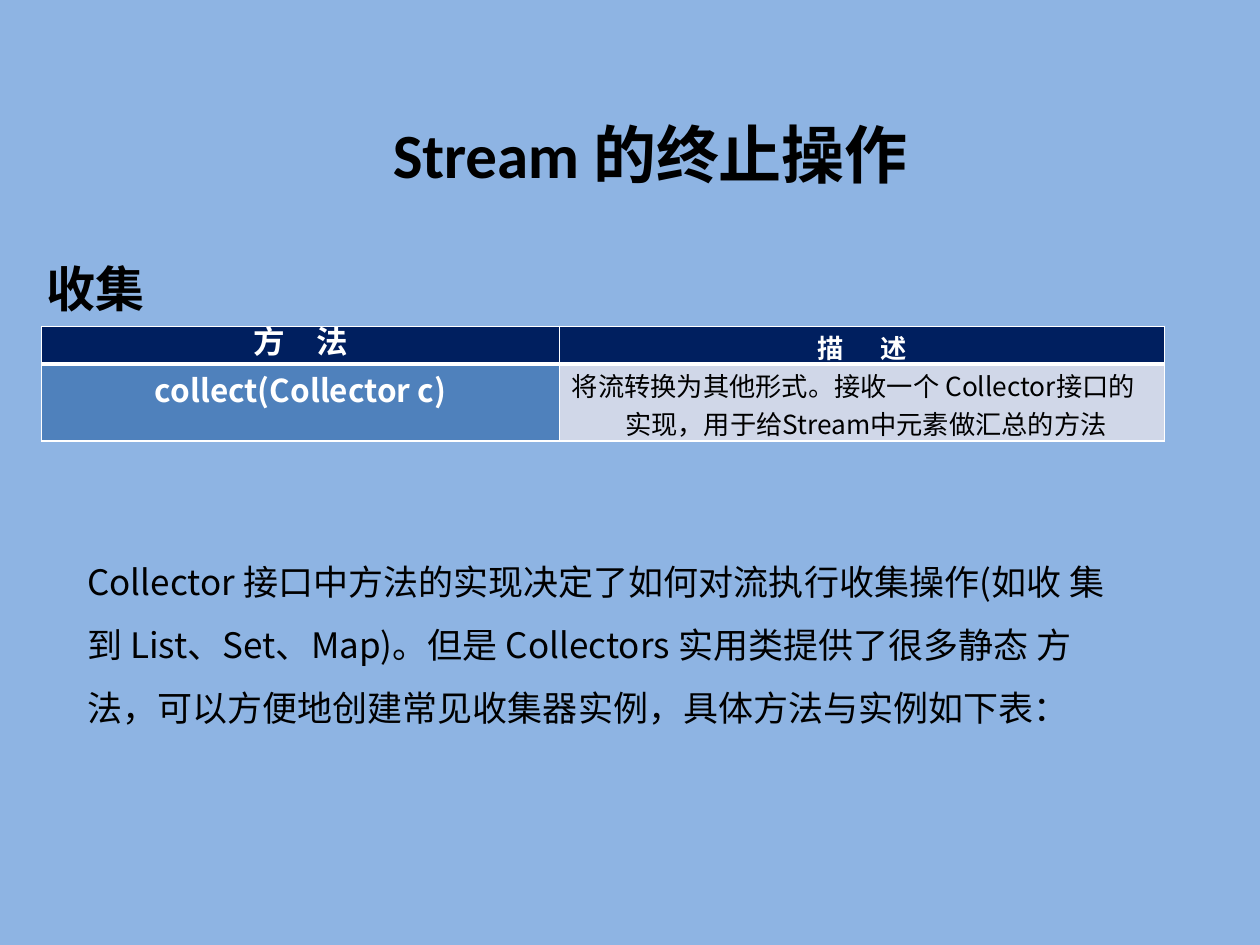
from lxml import etree
from pptx import Presentation
from pptx.dml.color import RGBColor
from pptx.enum.text import MSO_ANCHOR, MSO_AUTO_SIZE, PP_ALIGN
from pptx.oxml.ns import qn
from pptx.util import Cm, Pt

CENTER, LEFT = PP_ALIGN.CENTER, PP_ALIGN.LEFT
TOP = MSO_ANCHOR.TOP
GROW = MSO_AUTO_SIZE.SHAPE_TO_FIT_TEXT

THEME = {
    "latin": "Calibri", "cjk": "Noto Sans CJK SC",
    "background": "8EB4E3", "text": "000000", "light": "FFFFFF",
    "header": "001F5F", "method": "4F81BC", "description": "D0D7E8",
    "title_size": 36, "heading_size": 28, "body_size": 20,
    "method_size": 18, "description_size": 15,
}

# Content: text is a list of (words, font) runs
CJK = THEME["cjk"]
TITLE = [("Stream ", THEME["latin"]), ("的终止操作", CJK)]
HEADING = [("收集", CJK)]
BODY = [("Collector 接口中方法的实现决定了如何对流执行收集操作(如收 集到 List、Set、Map)。"
         "但是 Collectors 实用类提供了很多静态 方法，可以方便地创建常见收集器实例，具体方法与实例如下表：", CJK)]

METHOD = {"size": THEME["method_size"], "color": THEME["light"], "bold": True,
          "align": CENTER, "before": 0.6}
DESCRIPTION = {"size": THEME["description_size"], "before": 0.5}
TABLE = [
    [("方\t法", THEME["header"], {**METHOD, "line": Pt(19.9), "tab": Cm(1.27), "tracking": -0.1}),
     ("描\t述", THEME["header"], {**METHOD, **DESCRIPTION, "tab": Cm(1.07), "tracking": -0.1})],
    [("collect(Collector c)", THEME["method"], METHOD),
     ("将流转换为其他形式。接收一个 Collector接口的 实现，用于给Stream中元素做汇总的方法",
      THEME["description"], {**DESCRIPTION, "indent": Cm(1.32), "first": Cm(-1.07)})],
]
COLUMN_WIDTHS = [Cm(10.44), Cm(12.19)]
ROW_HEIGHTS = [Cm(0.76), Cm(1.55)]


def write_text(frame, runs, *, size, color=THEME["text"], bold=False, align=LEFT,
               before=0, line=None, indent=0, first=0, tab=None, tracking=0):
    paragraph = frame.paragraphs[0]
    paragraph.alignment = align
    paragraph.space_before = Pt(before)
    if line:
        paragraph.line_spacing = line
    properties = paragraph._p.get_or_add_pPr()
    properties.set("marL", str(int(indent)))
    properties.set("indent", str(int(first)))
    if tab:
        tabs = etree.SubElement(properties, qn("a:tabLst"))
        etree.SubElement(tabs, qn("a:tab"), pos=str(int(tab)), algn="l")
    for words, font_name in runs:
        run = paragraph.add_run()
        run.text = words
        font = run.font
        font.name, font.size, font.bold = font_name, Pt(size), bold
        font.color.rgb = RGBColor.from_string(color)
        run_properties = run._r.get_or_add_rPr()
        run_properties.set("spc", str(round(tracking * 100)))
        etree.SubElement(run_properties, qn("a:ea"), typeface=font_name)


def add_text(slide, box, runs, **style):
    frame = slide.shapes.add_textbox(*(Cm(length) for length in box)).text_frame
    frame.word_wrap = True
    frame.auto_size = GROW
    frame.vertical_anchor = TOP
    frame.margin_left = frame.margin_right = frame.margin_bottom = 0
    frame.margin_top = Cm(0.03)
    write_text(frame, runs, **style)


def set_borders(cell, widths):
    properties = cell._tc.get_or_add_tcPr()
    for position, (side, width) in enumerate(widths.items()):
        border = etree.Element(qn(f"a:ln{side}"), w=str(int(Pt(width))))
        fill = etree.SubElement(border, qn("a:solidFill"))
        etree.SubElement(fill, qn("a:srgbClr"), val=THEME["light"])
        properties.insert(position, border)


def add_method_table(slide):
    table = slide.shapes.add_table(len(TABLE), len(COLUMN_WIDTHS), Cm(0.84), Cm(6.58),
                                   sum(COLUMN_WIDTHS), sum(ROW_HEIGHTS)).table
    for column, width in zip(table.columns, COLUMN_WIDTHS):
        column.width = width
    for index, (row, height) in enumerate(zip(table.rows, ROW_HEIGHTS)):
        row.height = height
        is_header = index == 0
        for cell, (words, fill, style) in zip(row.cells, TABLE[index]):
            cell.margin_left = cell.margin_right = cell.margin_bottom = 0
            cell.margin_top = Cm(0.03)
            cell.vertical_anchor = TOP
            cell.fill.solid()
            cell.fill.fore_color.rgb = RGBColor.from_string(fill)
            set_borders(cell, {"L": 1, "R": 1, "T": 1 if is_header else 3,
                               "B": 3 if is_header else 1})
            write_text(cell.text_frame, [(words, CJK)], **style)


def main():
    presentation = Presentation()
    presentation.slide_width, presentation.slide_height = Cm(25.4), Cm(19.05)
    slide = presentation.slides.add_slide(presentation.slide_layouts[6])
    slide.background.fill.solid()
    slide.background.fill.fore_color.rgb = RGBColor.from_string(THEME["background"])

    # Title and section heading
    add_text(slide, (7.01, 2.29, 11.38, 1.6), TITLE, size=THEME["title_size"],
             bold=True, before=1, indent=Cm(0.91), tracking=-0.1)
    add_text(slide, (0.91, 5.18, 2.06, 1.24), HEADING, size=THEME["heading_size"],
             bold=True, before=0.9, indent=Cm(0.03), tracking=-0.1)

    # Method table
    add_method_table(slide)

    # Explanation
    add_text(slide, (1.73, 10.85, 20.55, 3.89), BODY, size=THEME["body_size"],
             before=1, line=1.5, indent=Cm(0.03))

    presentation.save("out.pptx")


if __name__ == "__main__":
    main()
